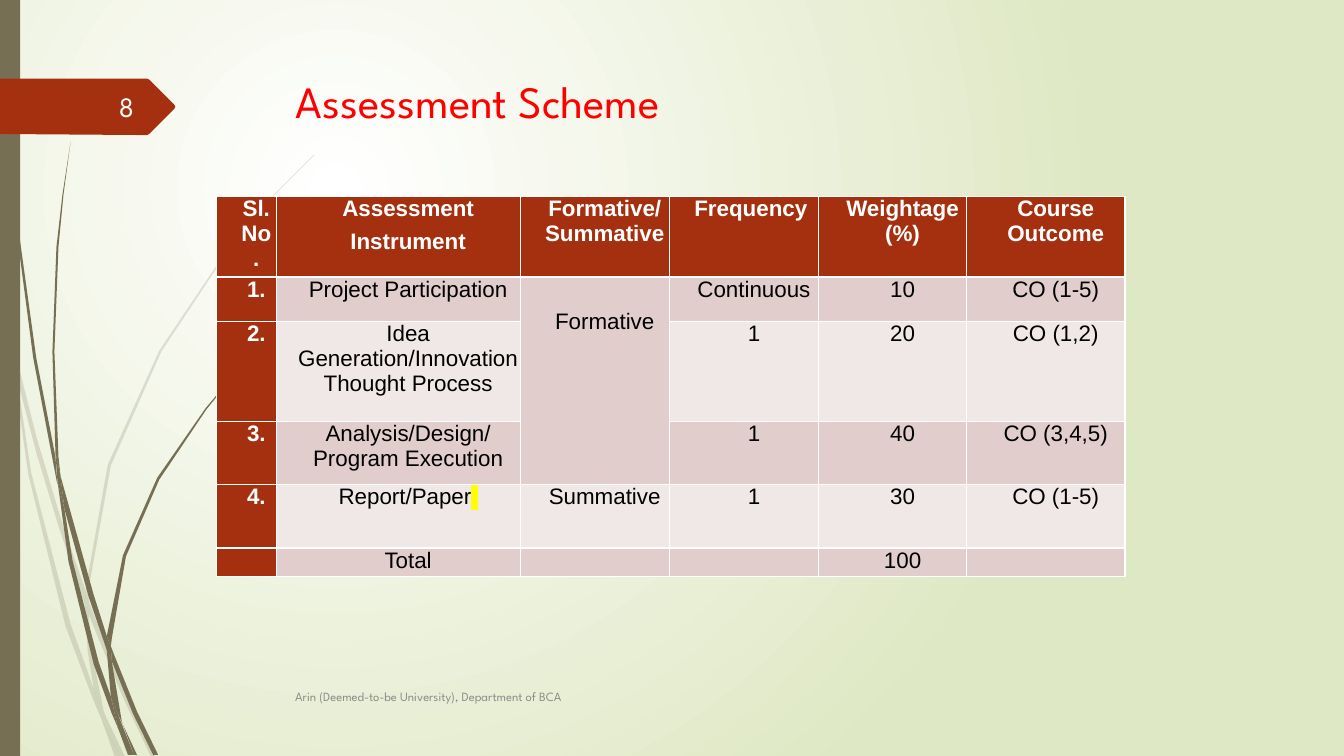
import lxml.etree
import pptx
import pptx.dml.color
import pptx.enum.shapes
import pptx.enum.text
import pptx.oxml.ns
import pptx.util

Cm = pptx.util.Cm
Pt = pptx.util.Pt
qn = pptx.oxml.ns.qn
ALIGN = pptx.enum.text.PP_ALIGN
ANCHOR = pptx.enum.text.MSO_ANCHOR

COLORS = {
    "olive": "766F54", "rust": "A53010", "white": "FFFFFF", "mist": "DFE8C4",
    "red": "FF0000", "gray": "8C8C8C", "black": "000000", "yellow": "FFFF00",
    "odd": "E1CDCC", "even": "F0E8E7",
}
CM_PER_INCH = 2.54

PALE_BLADES = [
    "0,2.99 0.1,3.44 0.11,3.5 | 0,2.82 0.09,3.22 0.11,3.5",
    "0.14,3.45 0.17,3.76 0.36,4.49 0.58,5.22 0.84,5.99 | 0.14,3.45 0.36,4.33 0.62,5.2 0.85,5.86",
    "0.88,5.96 0.88,6.1 1.23,6.94 1.5,7.51 | 0.88,5.96 0.92,6.07 1.27,6.92 1.55,7.51",
    "1.05,7.11 1.19,7.51 | 1.05,7.11 1.24,7.51",
    "0.11,3.5 0.28,4.7 0.65,6.21 0.92,6.93 1.01,7.14 | 0.11,3.5 0.17,3.76 0.31,4.69 0.7,6.19 0.93,6.83 0.99,7.07",
    "0.84,5.99 0.87,6.46 0.93,6.83 0.96,6.92 1.05,7.11 | 0.84,5.99 0.88,6.08 0.88,6.1 0.91,6.46 1.03,7.06",
    "3.12,1.53 2.68,1.97 2.28,2.44 1.58,3.48 1.07,4.61 0.85,5.84 0.88,5.96"
    " | 3.12,1.54 2.68,1.98 2.29,2.45 1.6,3.49 1.1,4.62 0.88,5.84",
    "1.01,7.14 1.14,7.51 | 1.01,7.14 1.19,7.51",
    "0.85,5.86 0.84,5.99 0.88,6.08 | 0.85,5.86 0.88,5.96 0.88,6.1",
    "0.93,6.83 0.99,7.07 1.01,7.14 1.19,7.51 | 0.93,6.83 0.96,6.92 1.05,7.11",
]
DARK_BLADES = [
    "0.03,0 0.04,0.48 0.07,1.1 0.17,2.33 0.33,3.55 0.57,4.81"
    " | 0.04,0 0.05,0.48 0.08,1.09 0.19,2.32 0.36,3.55 0.55,4.53",
    "0.6,4.72 0.64,5.05 0.88,5.92 1.06,6.45 | 0.6,4.72 0.93,5.9 1.06,6.31",
    "1.1,6.41 1.11,6.56 1.32,7.08 1.52,7.49 | 1.1,6.41 1.13,6.49 1.36,7.06 1.57,7.49",
    "0.57,4.77 0.68,5.57 0.93,6.59 1.11,7.08 1.17,7.22 | 0.57,4.77 0.64,5.05 0.72,5.56 0.98,6.57 1.1,6.91",
    "0.7,1.41 0.62,1.93 0.56,2.45 0.52,3.49 0.55,4.49 0.6,4.72 | 0.7,1.41 0.63,1.93 0.58,2.45 0.54,3.49 0.58,4.53",
    "1.22,7.19 1.33,7.49 | 1.22,7.19 1.36,7.49",
    "0.55,4.49 0.57,4.77 0.64,5.05 | 0.55,4.49 0.6,4.72",
    "2.6,3.44 2.31,3.73 2.04,4.05 1.56,4.74 1.22,5.51 1.06,6.31 1.1,6.41"
    " | 2.61,3.44 2.31,3.74 2.05,4.06 1.58,4.76 1.25,5.52 1.11,6.33",
    "1.17,7.22 1.27,7.49 | 1.17,7.22 1.31,7.49",
    "1.06,6.45 1.1,6.91 1.16,7.06 1.22,7.19 | 1.06,6.45 1.11,6.56 1.21,7.16",
    "1.06,6.31 1.06,6.45 1.11,6.56 | 1.06,6.31 1.1,6.41",
    "1.1,6.91 1.17,7.22 1.3,7.49 | 1.1,6.91 1.16,7.06 1.33,7.49",
]
TAG_OUTLINE = [(0, 0.78), (1.46, 0.78), (1.48, 0.79), (1.73, 1.04), (1.74, 1.06),
               (1.73, 1.08), (1.48, 1.33), (1.46, 1.34), (1.36, 1.34), (0, 1.33)]

COLUMN_WIDTHS = [1.5, 6.15, 3.76, 3.76, 3.73, 3.99]
ROW_HEIGHTS = [1.6, 1.12, 2.51, 1.6, 1.6, 0.71]
ASSESSMENTS = [
    ["Sl. No.", "Assessment\nInstrument", "Formative/ Summative", "Frequency ", "Weightage (%)", "Course Outcome"],
    ["1.", "Project Participation", "Formative", "Continuous", "10", "CO (1-5)"],
    ["2.", "Idea Generation/Innovation Thought Process", "", "1", "20", "CO (1,2)"],
    ["3.", "Analysis/Design/ Program Execution", "", "1", "40", "CO (3,4,5)"],
    ["4.", "Report/Paper", "Summative", "1", "30", "CO (1-5)"],
    ["", "Total", "", "", "100", ""],
]


def rgb(name):
    return pptx.dml.color.RGBColor.from_string(COLORS[name])


def read_edge(text):
    return [tuple(map(float, pair.split(","))) for pair in text.split()]


def add_run(paragraph, text, size, color, font="League Spartan", bold=False, highlight=None):
    run = paragraph.add_run()
    run.text = text
    run.font.size = Pt(size)
    run.font.name = font
    run.font.bold = bold
    run.font.color.rgb = rgb(color)
    if highlight:
        mark = lxml.etree.Element(qn("a:highlight"))
        lxml.etree.SubElement(mark, qn("a:srgbClr")).set("val", COLORS[highlight])
        run.font._element.find(qn("a:solidFill")).addnext(mark)


class SlideBuilder:
    def __init__(self, slide):
        self.slide = slide
        self.table_font = "Arial"
        self.table_size = 16

    def background(self):
        fill = self.slide.background.fill
        fill.gradient()
        for stop, color, position in zip(fill.gradient_stops, ("white", "mist"), (0, 1)):
            stop.color.rgb = rgb(color)
            stop.position = position
        gradient = self.slide._element.find(".//" + qn("a:gradFill"))
        gradient.remove(gradient.find(qn("a:lin")))
        circle = lxml.etree.SubElement(gradient, qn("a:path"))
        circle.set("path", "circle")
        focus = lxml.etree.SubElement(circle, qn("a:fillToRect"))
        for side, share in zip("ltrb", (50000, 50000, 100000, 100000)):
            focus.set(side, str(share))

    def paint(self, shape, color, opacity=None):
        shape.shadow.inherit = False
        shape.fill.solid()
        shape.fill.fore_color.rgb = rgb(color)
        shape.line.fill.background()
        if opacity:
            tint = shape._element.spPr.find(".//" + qn("a:srgbClr"))
            lxml.etree.SubElement(tint, qn("a:alpha")).set("val", str(opacity * 1000))

    def outline(self, points, color, opacity=None):
        start, *rest = [(Cm(x * CM_PER_INCH), Cm(y * CM_PER_INCH)) for x, y in points]
        builder = self.slide.shapes.build_freeform(*start)
        builder.add_line_segments(rest, close=True)
        self.paint(builder.convert_to_shape(), color, opacity)

    def blade(self, edges, opacity=None):
        left, right = map(read_edge, edges.split("|"))
        self.outline(left + right[:0:-1], "olive", opacity) if left[0] == right[0] else \
            self.outline(left + right[::-1], "olive", opacity)

    def bar(self, left, top, width, height, color):
        shape = self.slide.shapes.add_shape(
            pptx.enum.shapes.MSO_SHAPE.RECTANGLE, Cm(left), Cm(top), Cm(width), Cm(height))
        self.paint(shape, color)

    def text(self, text, left, top, width, height, align=ALIGN.LEFT, anchor=ANCHOR.MIDDLE, **style):
        frame = self.slide.shapes.add_textbox(Cm(left), Cm(top), Cm(width), Cm(height)).text_frame
        frame.word_wrap = True
        frame.vertical_anchor = anchor
        frame.paragraphs[0].alignment = align
        add_run(frame.paragraphs[0], text, **style)

    def cell(self, cell, text, fill, color, bold, highlight):
        cell.margin_left = cell.margin_right = Cm(0.05)
        cell.margin_top = cell.margin_bottom = 0
        cell.fill.solid()
        cell.fill.fore_color.rgb = rgb(fill)
        frame = cell.text_frame
        style = {"size": self.table_size, "color": color, "font": self.table_font, "bold": bold}
        for index, part in enumerate(text.split("\n")):
            paragraph = frame.add_paragraph() if index else frame.paragraphs[0]
            paragraph.alignment = ALIGN.CENTER
            paragraph.space_before = Pt(6)
            paragraph._p.get_or_add_pPr().set("marL", str(Cm(0.5)))
            if part:
                add_run(paragraph, part, **style)
            else:
                end = lxml.etree.SubElement(paragraph._p, qn("a:endParaRPr"))
                end.set("sz", str(self.table_size * 100))
            if highlight:
                add_run(paragraph, " ", highlight=highlight, **style)

    def table(self, rows, left, top):
        table = self.slide.shapes.add_table(
            len(rows), len(rows[0]), Cm(left), Cm(top),
            Cm(sum(COLUMN_WIDTHS)), Cm(sum(ROW_HEIGHTS))).table
        for column, width in zip(table.columns, COLUMN_WIDTHS):
            column.width = Cm(width)
        for row, height in zip(table.rows, ROW_HEIGHTS):
            row.height = Cm(height)
        for r, row in enumerate(rows):
            for c, text in enumerate(row):
                header = r == 0 or c == 0
                fill = "rust" if header else "odd" if r % 2 else "even"
                self.cell(table.cell(r, c), text, fill, "white" if header else "black", header,
                          "yellow" if text == "Report/Paper" else None)
        formative = table.cell(1, 2)
        formative.merge(table.cell(3, 2))
        formative.margin_top = Cm(0.82)


def main():
    presentation = pptx.Presentation()
    presentation.slide_width, presentation.slide_height = Cm(33.87), Cm(19.05)
    builder = SlideBuilder(presentation.slides.add_slide(presentation.slide_layouts[6]))
    builder.background()
    for edges in PALE_BLADES:
        builder.blade(edges, opacity=20)
    for edges in DARK_BLADES:
        builder.blade(edges)
    builder.bar(0, 0, 0.51, 19.05, "olive")
    builder.outline(TAG_OUTLINE, "rust")
    builder.text("Assessment Scheme", 7.21, 1.73, 24.77, 1.47, anchor=ANCHOR.TOP, size=32, color="red")
    builder.table(ASSESSMENTS, 5.46, 4.95)
    builder.text("Arin (Deemed-to-be University), Department of BCA", 7.19, 17.04, 21.16, 1.02, size=9, color="gray")
    builder.text("8", 1.47, 2.18, 2.16, 1.02, align=ALIGN.RIGHT, size=20, color="white")
    presentation.save("out.pptx")


if __name__ == "__main__":
    main()
